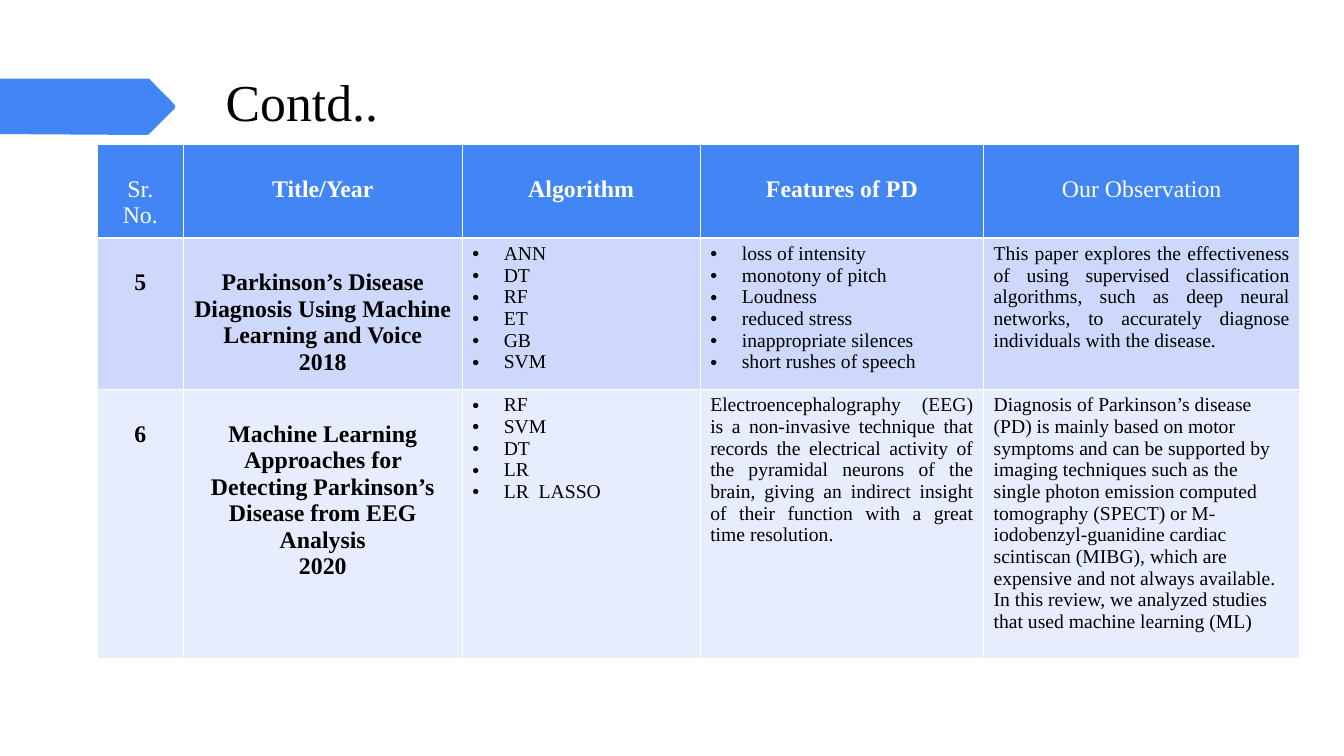
import pptx
import pptx.util
import pptx.dml.color
import pptx.enum.text
import lxml.etree

Pt = pptx.util.Pt
RGB = pptx.dml.color.RGBColor
ALIGN = pptx.enum.text.PP_ALIGN
FONT = "Times New Roman"
BLUE = RGB(0x42, 0x85, 0xF4)
BAND = RGB(0xCD, 0xD8, 0xFB)
PALE = RGB(0xE8, 0xED, 0xFD)
BLACK = RGB(0, 0, 0)
WHITE = RGB(255, 255, 255)


def style(para, size, color, bold, align):
    para.alignment = align
    for run in para.runs:
        font = run.font
        font.name, font.size, font.bold = FONT, Pt(size), bold
        font.color.rgb = color


def bullet(para):
    props = para._p.get_or_add_pPr()
    props.set("marL", str(Pt(22.5)))
    props.set("indent", str(Pt(-22.5)))
    for tag, key, value in (("buFont", "typeface", "Arial"), ("buChar", "char", "•")):
        name = pptx.oxml.ns.qn("a:" + tag)
        lxml.etree.SubElement(props, name).set(key, value)


deck = pptx.Presentation()
deck.slide_width, deck.slide_height = Pt(960), Pt(540)
slide = deck.slides.add_slide(deck.slide_layouts[6])

# Arrow at the left edge
edge = [(106.5, 56.2), (124.6, 74.6), (125.3, 76.2), (124.6, 77.8),
        (106.5, 95.8), (105, 96.4), (98, 96.4), (0, 95.8)]
pen = slide.shapes.build_freeform(Pt(0), Pt(56.2))
pen.add_line_segments([(Pt(x), Pt(y)) for x, y in edge])
arrow = pen.convert_to_shape()
arrow.shadow.inherit = False
arrow.fill.solid()
arrow.fill.fore_color.rgb = BLUE
arrow.line.fill.background()

# Title
title = slide.shapes.add_textbox(Pt(154.1), Pt(46), Pt(702), Pt(50))
title.text_frame.word_wrap = True
title.text_frame.text = "Contd.."
style(title.text_frame.paragraphs[0], 37, BLACK, False, ALIGN.LEFT)

# Table of papers: a list is bulleted, a string is plain text
heads = ["Sr. No.", "Title/Year", "Algorithm", "Features of PD", "Our Observation"]
papers = [
    ["5",
     "Parkinson’s Disease Diagnosis Using Machine Learning and Voice\n2018",
     ["ANN", "DT", "RF", "ET", "GB", "SVM"],
     ["loss of intensity", "monotony of pitch", "Loudness", "reduced stress",
      "inappropriate silences", "short rushes of speech"],
     "This paper explores the effectiveness of using supervised classification "
     "algorithms, such as deep neural networks, to accurately diagnose "
     "individuals with the disease."],
    ["6",
     "Machine Learning Approaches for Detecting Parkinson’s Disease from EEG "
     "Analysis\n2020",
     ["RF", "SVM", "DT", "LR", "LR  LASSO"],
     "Electroencephalography (EEG) is a non-invasive technique that records the "
     "electrical activity of the pyramidal neurons of the brain, giving an "
     "indirect insight of their function with a great time resolution.",
     "Diagnosis of Parkinson’s disease (PD) is mainly based on motor symptoms and "
     "can be supported by imaging techniques such as the single photon emission "
     "computed tomography (SPECT) or M-iodobenzyl-guanidine cardiac scintiscan "
     "(MIBG), which are expensive and not always available. In this review, we "
     "analyzed studies that used machine learning (ML)"],
]
widths = [61.5, 199.2, 170, 202.4, 226]
heights = [63.6, 102, 178]
frame = slide.shapes.add_table(3, 5, Pt(69.5), Pt(103.2), Pt(sum(widths)), Pt(sum(heights)))
grid = frame.table
for col, width in zip(grid.columns, widths):
    col.width = Pt(width)
for row, height in zip(grid.rows, heights):
    row.height = Pt(height)

for r, (line, shade) in enumerate(zip([heads] + papers, [BLUE, BAND, PALE])):
    for c, item in enumerate(line):
        cell = grid.cell(r, c)
        cell.fill.solid()
        cell.fill.fore_color.rgb = shade
        listed = isinstance(item, list)
        cell.text_frame.text = "\n".join(item) if listed else item
        big = r == 0 or c < 2
        # Headings and titles start one line lower
        cell.margin_top = Pt(22.4 if big else 3.6)
        for para in cell.text_frame.paragraphs:
            if r == 0:
                style(para, 17, WHITE, c in (1, 2, 3), ALIGN.CENTER)
            elif big:
                style(para, 17, BLACK, True, ALIGN.CENTER)
            else:
                ragged = r == 2 and c == 4
                style(para, 14, BLACK, False, ALIGN.LEFT if ragged else ALIGN.JUSTIFY)
            if listed:
                bullet(para)

deck.save("out.pptx")
